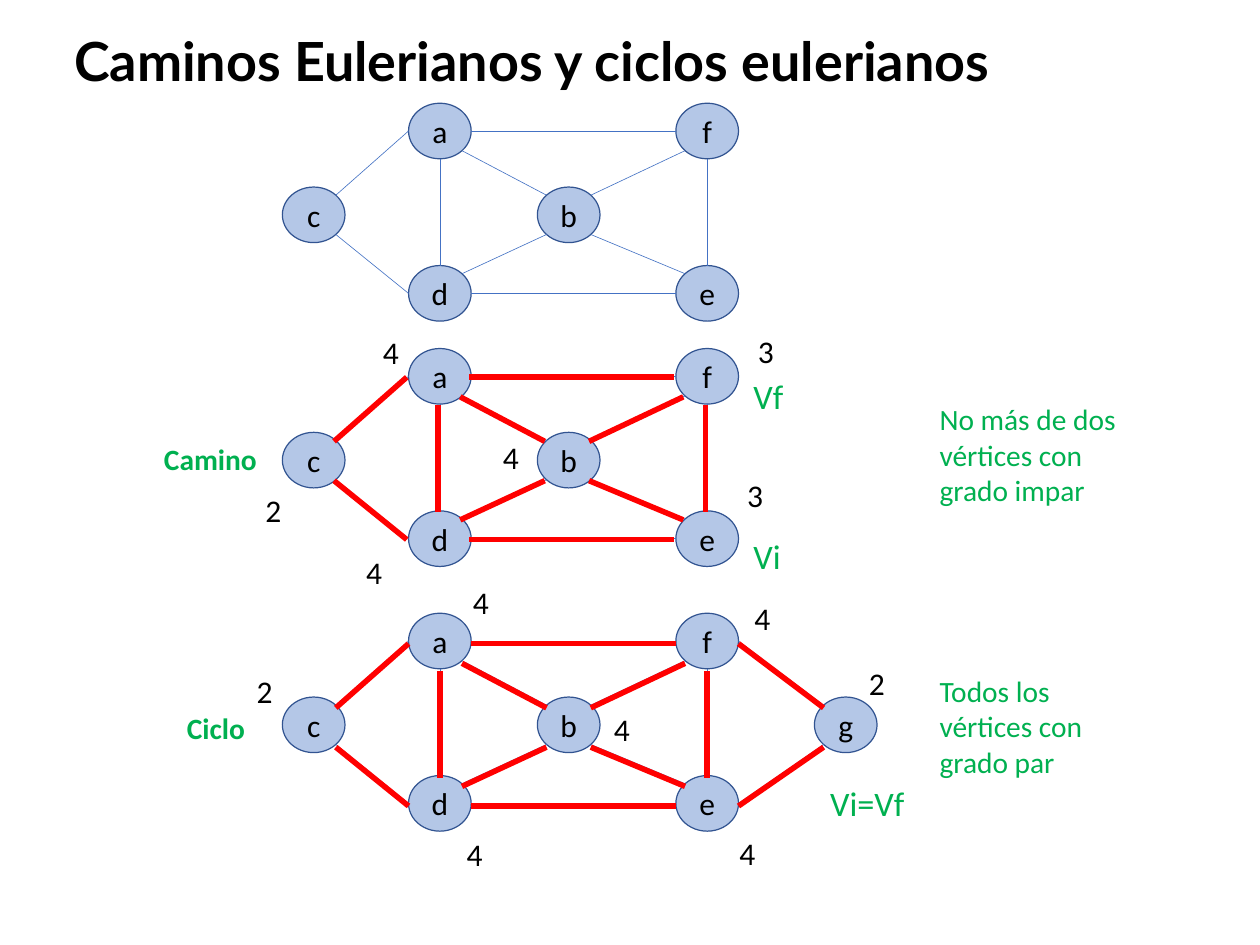
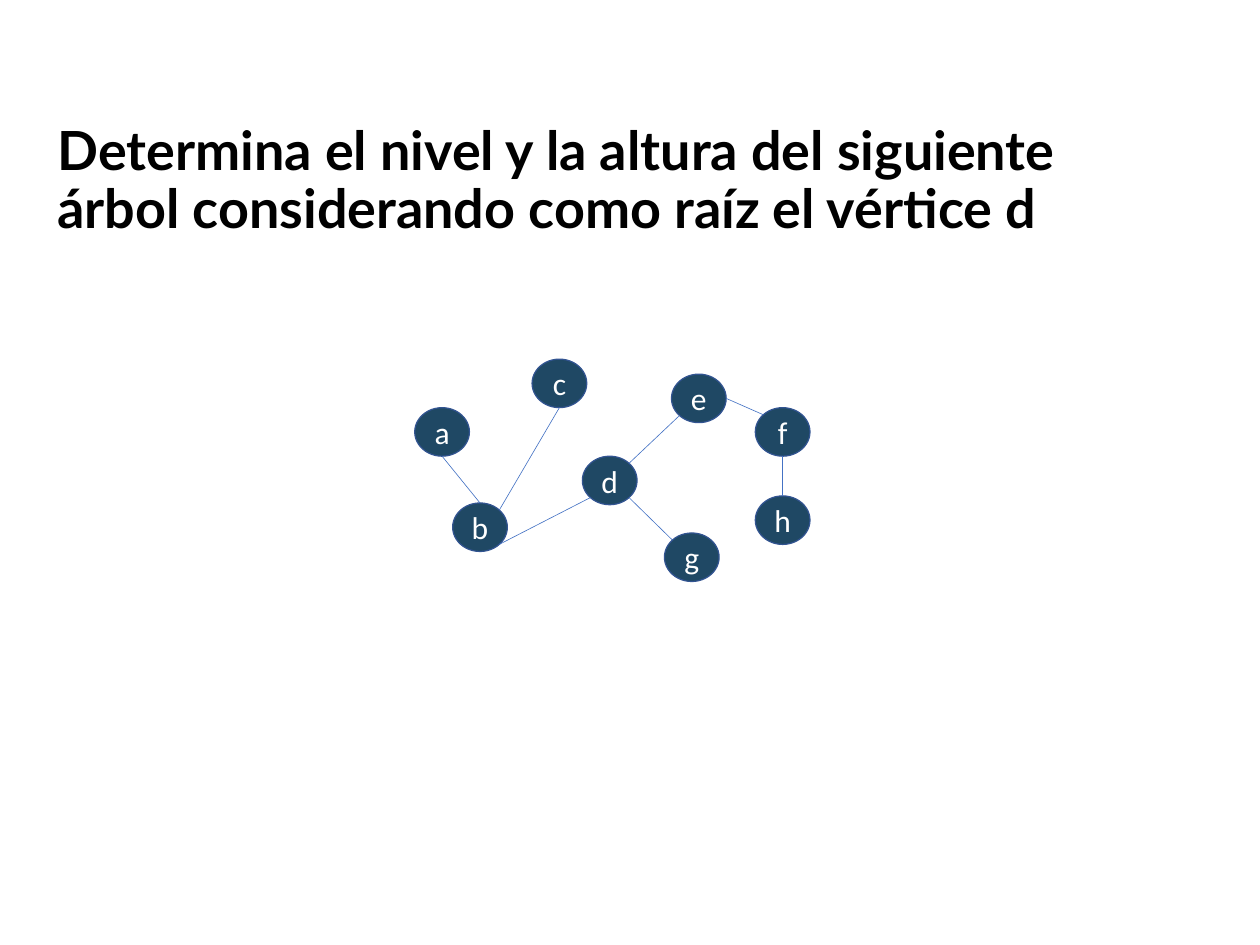
import pptx
import pptx.util
import pptx.dml.color
import pptx.enum.shapes
import pptx.enum.text
import pptx.oxml

PX = 9144  # 100 px to the inch
HUES = {"ink": "000000", "pale": "B4C7E7", "rim": "325491", "edge": "4472C4",
        "walk": "FF0000", "note": "00B050", "deep": "1F4864", "white": "FFFFFF"}

# Content: graphs on slide 1, nodes as name: (left, top)
TITLES = [
    ("Caminos Eulerianos y ciclos eulerianos", (84, 39, 1279, 72)),
    ("Determina el nivel y la altura del siguiente árbol considerando "
     "como raíz el vértice d", (65, 140, 1279, 138)),
]
GRAPH = {"a": (463, 0), "b": (609, 95), "c": (320, 95), "d": (463, 184),
         "e": (766, 184), "f": (766, 0)}
LINKS = ["a se b nw", "c se d w", "c ne a w", "a s d n", "d e e w", "a e f w",
         "f sw b ne", "d ne b sw", "b se e nw", "e n f s"]
RING = {**GRAPH, "g": (923, 95)}
LOOP = LINKS + ["f e g nw", "e e g sw"]
# top, nodes, links, shift of the red walk
ROWS = [(117, GRAPH, LINKS, None),
        (395, GRAPH, LINKS, (-2, 1)),
        (695, RING, LOOP, (0, 3))]

GRADES = [("2", 291, 552), ("4", 405, 622), ("4", 424, 373), ("4", 560, 491),
          ("3", 849, 371), ("3", 837, 535), ("2", 975, 748), ("2", 281, 757),
          ("4", 526, 656), ("4", 845, 674), ("4", 828, 940), ("4", 519, 941),
          ("4", 686, 800)]
ENDS = [("Vi", (844, 602, 51, 57)), ("Vf", (844, 420, 54, 57)),
        ("Vi=Vf", (931, 882, 105, 57))]
RULES = [("No más de dos vértices con grado impar", (1055, 450, 250, 131)),
         ("Todos los vértices con grado par", (1055, 758, 250, 131))]
NAMES = [("Camino", (176, 495, 142, 50)), ("Ciclo", (202, 800, 250, 50))]

# Content: tree on slide 2
TREE = {"a": (470, 462), "c": (603, 407), "d": (660, 517), "b": (513, 570),
        "e": (761, 424), "f": (856, 462), "g": (753, 604), "h": (856, 562)}
TWIGS = ["h n f s", "b n a s", "b ne c s", "b se d sw", "d se g nw",
         "d ne e sw", "e e f nw"]

DIAG = 0.5 ** 0.5
SIDES = {"n": (0, -1), "s": (0, 1), "w": (-1, 0), "e": (1, 0),
         "nw": (-DIAG, -DIAG), "ne": (DIAG, -DIAG),
         "sw": (-DIAG, DIAG), "se": (DIAG, DIAG)}


def emu(*vals):
    return [pptx.util.Emu(round(v * PX)) for v in vals]


def hue(key):
    return pptx.dml.color.RGBColor.from_string(HUES[key])


def write(par, text, size, key, font="Calibri", bold=False):
    run = par.add_run()
    run.text = text
    run.font.name, run.font.size = font, pptx.util.Pt(size)
    run.font.bold, run.font.color.rgb = bold, hue(key)


def label(slide, text, box, size, key, wrap=True, **style):
    frame = slide.shapes.add_textbox(*emu(*box)).text_frame
    frame.word_wrap = wrap
    frame.auto_size = pptx.enum.text.MSO_AUTO_SIZE.SHAPE_TO_FIT_TEXT
    write(frame.paragraphs[0], text, size, key, **style)
    return frame


def title(slide, text, box):
    frame = label(slide, text, box, 44, "ink", font="Lato", bold=True)
    frame.margin_left = frame.margin_top = 0
    frame.vertical_anchor = pptx.enum.text.MSO_ANCHOR.MIDDLE
    frame.paragraphs[0].line_spacing = 0.9


def node(slide, name, spot, size, fill, ink):
    oval = slide.shapes.add_shape(pptx.enum.shapes.MSO_SHAPE.OVAL,
                                  *emu(*spot, *size))
    oval.shadow.inherit = False
    oval.fill.solid()
    oval.fill.fore_color.rgb = hue(fill)
    oval.line.color.rgb = hue("rim")
    oval.line.width = pptx.util.Pt(1)
    par = oval.text_frame.paragraphs[0]
    par.alignment = pptx.enum.text.PP_ALIGN.CENTER
    write(par, name, 25.7, ink)


def rim(spot, size, side):
    """Point on the oval's edge in a compass direction."""
    return [p + s / 2 * (1 + d) for p, s, d in zip(spot, size, SIDES[side])]


def join(slide, nodes, size, links, key, width, shift=(0, 0)):
    for link in links:
        one, out, two, into = link.split()
        ends = rim(nodes[one], size, out) + rim(nodes[two], size, into)
        line = slide.shapes.add_connector(
            pptx.enum.shapes.MSO_CONNECTOR.STRAIGHT,
            *emu(*(v + s for v, s in zip(ends, shift * 2))))
        line.line.color.rgb = hue(key)
        line.line.width = pptx.util.Pt(width)
        line._element.spPr.append(pptx.oxml.parse_xml(
            '<a:effectLst xmlns:a="http://schemas.openxmlformats.org/'
            'drawingml/2006/main"/>'))


def graph(slide, nodes, size, links, fill, ink):
    for name, spot in nodes.items():
        node(slide, name, spot, size, fill, ink)
    join(slide, nodes, size, links, "edge", 0.5)


def main():
    deck = pptx.Presentation()
    deck.slide_width, deck.slide_height = emu(1428, 1071)
    slides = []
    for text, box in TITLES:
        slide = deck.slides.add_slide(deck.slide_layouts[6])
        title(slide, text, box)
        slides.append(slide)
    first, last = slides

    # Three graphs, two of them with a red walk on top
    size = (71, 63)
    for top, nodes, links, shift in ROWS:
        spots = {name: (x, top + y) for name, (x, y) in nodes.items()}
        graph(first, spots, size, links, "pale", "ink")
        if shift:
            join(first, spots, size, links, "walk", 4.5, shift)

    # Notes and vertex degrees
    for text, box in RULES:
        label(first, text, box, 24, "note")
    for text, box in NAMES:
        label(first, text, box, 24, "note", bold=True)
    for text, box in ENDS:
        label(first, text, box, 28, "note", wrap=False)
    for text, x, y in GRADES:
        label(first, text, (x, y, 38, 53), 25.7, "ink", wrap=False)

    # Tree
    graph(last, TREE, (62, 55), TWIGS, "deep", "white")
    deck.save("out.pptx")


if __name__ == "__main__":
    main()
